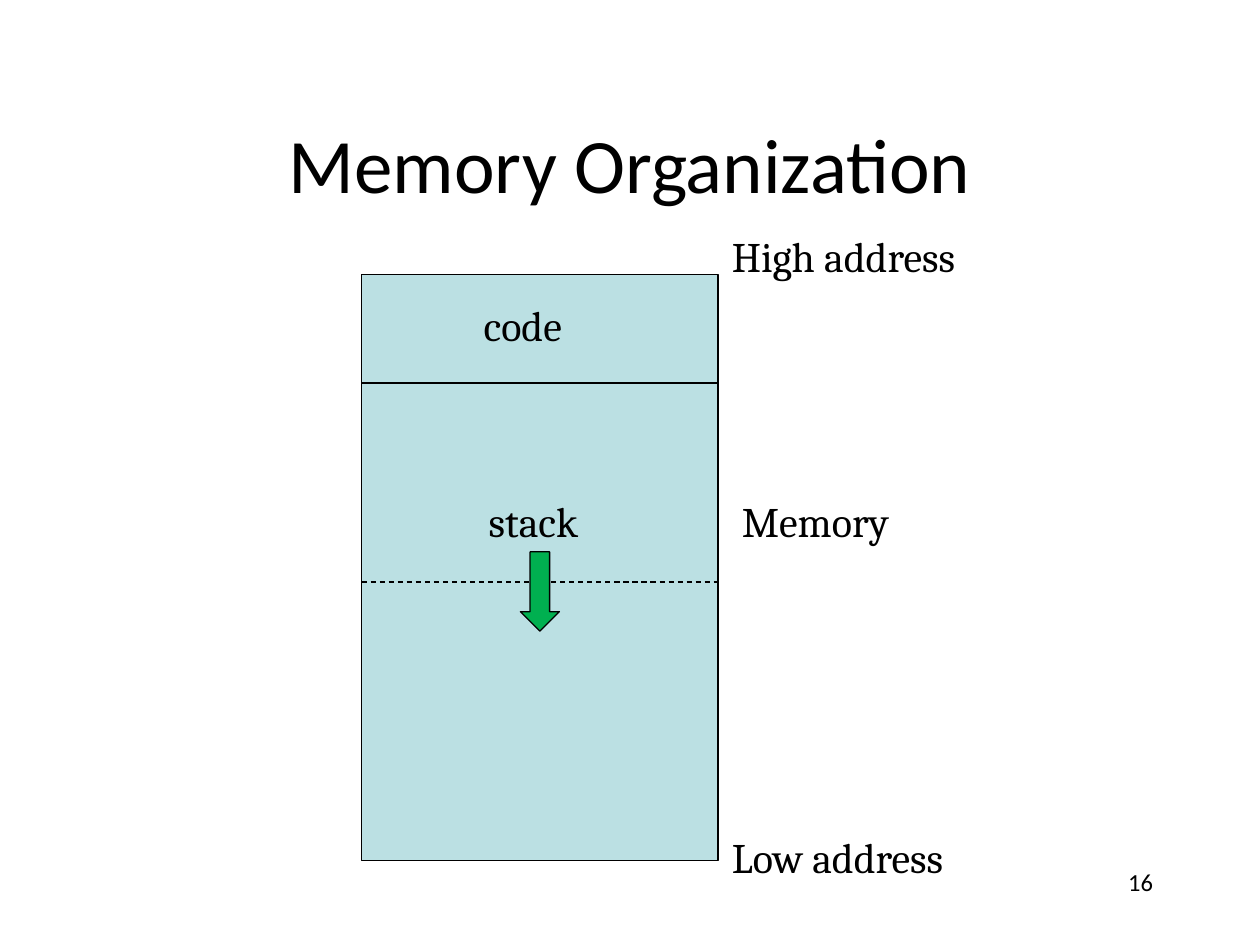
from dataclasses import dataclass

from lxml import etree
from pptx import Presentation
from pptx.dml.color import RGBColor
from pptx.enum import dml, shapes, text
from pptx.oxml import ns
from pptx.util import Inches, Pt

BLACK = RGBColor(0, 0, 0)
PALE = RGBColor(0xBB, 0xE0, 0xE3)
GREEN = RGBColor(0, 0xB0, 0x50)
LEFT, TOP, WIDTH, HEIGHT = 2.87, 2.18, 2.83, 4.65  # memory block


@dataclass
class Label:
    words: str
    left: float
    top: float
    width: float = 1.97
    size: int = 24
    font: str = "Cambria"
    align: text.PP_ALIGN = text.PP_ALIGN.LEFT


@dataclass
class Rule:
    top: float
    dashed: bool = False


LABELS = [
    Label("16", 7.17, 6.83, 2.08, 14, "Calibri", text.PP_ALIGN.RIGHT),
    Label("Memory", 5.79, 3.88),
    Label("High address", 5.71, 1.78),
    Label("Low address", 5.71, 6.55),
    Label("code", 3.74, 2.33),
    Label("stack", 3.78, 3.88, 0.98),
]
RULES = [Rule(3.04), Rule(4.62, dashed=True)]


def write(frame, words: str, size: int, font: str, align: text.PP_ALIGN) -> None:
    frame.word_wrap = True
    para = frame.paragraphs[0]
    para.alignment = align
    run = para.add_run()
    run.text = words
    run.font.size = Pt(size)
    run.font.name = font
    run.font.color.rgb = BLACK


def add_label(slide, label: Label) -> None:
    box = slide.shapes.add_textbox(
        Inches(label.left), Inches(label.top), Inches(label.width), Inches(0.5))
    write(box.text_frame, label.words, label.size, label.font, label.align)


def add_block(slide, kind: shapes.MSO_SHAPE, left: float, top: float,
              width: float, height: float, fill: RGBColor) -> None:
    block = slide.shapes.add_shape(
        kind, Inches(left), Inches(top), Inches(width), Inches(height))
    block.shadow.inherit = False
    block.fill.solid()
    block.fill.fore_color.rgb = fill
    block.line.color.rgb = BLACK
    block.line.width = Pt(0.75)


def add_rule(slide, rule: Rule) -> None:
    line = slide.shapes.add_connector(
        shapes.MSO_CONNECTOR.STRAIGHT, Inches(LEFT), Inches(rule.top),
        Inches(LEFT + WIDTH), Inches(rule.top))
    line.line.color.rgb = BLACK
    line.line.width = Pt(0.75)
    if rule.dashed:
        line.line.dash_style = dml.MSO_LINE.DASH
    etree.SubElement(line._element.spPr, ns.qn("a:effectLst"))


def main() -> None:
    deck = Presentation()
    deck.slide_width, deck.slide_height = Inches(10), Inches(7.5)
    slide = deck.slides.add_slide(deck.slide_layouts[5])

    # Title
    title = slide.shapes.title
    title.left, title.top = Inches(0.75), Inches(0.67)
    title.width, title.height = Inches(8.5), Inches(1.25)
    title.text_frame.vertical_anchor = text.MSO_ANCHOR.MIDDLE
    write(title.text_frame, "Memory Organization", 44, "Calibri",
          text.PP_ALIGN.CENTER)

    # Memory block, its labels and dividers
    add_block(slide, shapes.MSO_SHAPE.RECTANGLE, LEFT, TOP, WIDTH, HEIGHT, PALE)
    for label in LABELS:
        add_label(slide, label)
    for rule in RULES:
        add_rule(slide, rule)

    # Direction of stack growth
    add_block(slide, shapes.MSO_SHAPE.DOWN_ARROW, 4.13, 4.38, 0.31, 0.63, GREEN)

    deck.save("out.pptx")


if __name__ == "__main__":
    main()
